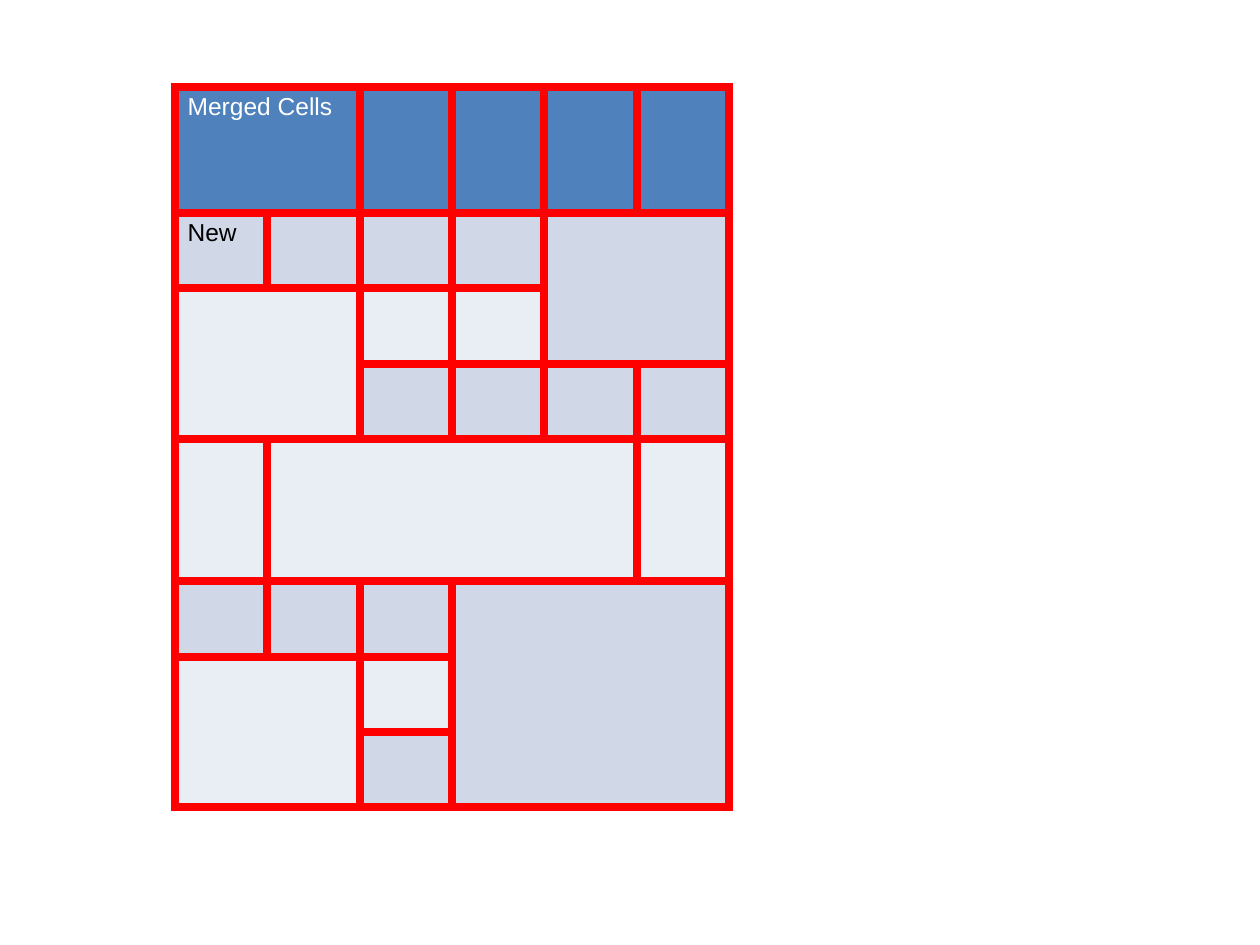
from dataclasses import dataclass
from itertools import pairwise

from lxml import etree
from pptx import Presentation
from pptx import util as u
from pptx.dml.color import RGBColor
from pptx.oxml import ns

PX = u.Inches(1) / 126


@dataclass(frozen=True)
class Theme:
    font: str = "Arial"
    size: int = 14
    header: str = "4F81BD"
    header_text: str = "FFFFFF"
    body_text: str = "000000"
    bands: tuple = ("E9EDF4", "D0D8E8")
    border: str = "FF0000"
    border_pt: int = 5


THEME = Theme()
SLIDE_SIZE = (1260, 945)
COLUMN_EDGES = [175, 267, 360, 452, 544, 637, 729]
ROW_EDGES = [87, 213, 288, 364, 439, 581, 657, 732, 807]
# first row, first column, last row, last column
MERGES = [
    (0, 0, 0, 1),
    (1, 4, 2, 5),
    (2, 0, 3, 1),
    (4, 1, 4, 4),
    (5, 3, 7, 5),
    (6, 0, 7, 1),
]


def px(length):
    return u.Emu(round(length * PX))


def write(frame, wording, *, color, size=THEME.size, font=THEME.font):
    run = frame.paragraphs[0].add_run()
    run.text = wording
    run.font.name = font
    run.font.size = u.Pt(size)
    run.font.color.rgb = RGBColor.from_string(color)


def add_borders(cell):
    properties = cell._tc.get_or_add_tcPr()
    for side in ("lnL", "lnR", "lnT", "lnB"):
        line = etree.SubElement(properties, ns.qn(f"a:{side}"),
                                w=str(u.Pt(THEME.border_pt)))
        fill = etree.SubElement(line, ns.qn("a:solidFill"))
        etree.SubElement(fill, ns.qn("a:srgbClr"), val=THEME.border)


def fill_cell(cell, color):
    cell.fill.solid()
    cell.fill.fore_color.rgb = RGBColor.from_string(color)


def add_grid(slide):
    left, right = COLUMN_EDGES[0], COLUMN_EDGES[-1]
    top, bottom = ROW_EDGES[0], ROW_EDGES[-1]
    grid = slide.shapes.add_table(
        len(ROW_EDGES) - 1, len(COLUMN_EDGES) - 1,
        px(left), px(top), px(right - left), px(bottom - top)).table
    for column, (start, end) in zip(grid.columns, pairwise(COLUMN_EDGES)):
        column.width = px(end - start)
    for row, (start, end) in zip(grid.rows, pairwise(ROW_EDGES)):
        row.height = px(end - start)
    for number, row in enumerate(grid.rows):
        color = THEME.bands[number % 2] if number else THEME.header
        for cell in row.cells:
            add_borders(cell)
            fill_cell(cell, color)
    for first_row, first_column, last_row, last_column in MERGES:
        grid.cell(first_row, first_column).merge(
            grid.cell(last_row, last_column))
    return grid


def main():
    deck = Presentation()
    deck.slide_width, deck.slide_height = map(px, SLIDE_SIZE)
    slide = deck.slides.add_slide(deck.slide_layouts.get_by_name("Blank"))
    grid = add_grid(slide)
    write(grid.cell(0, 0).text_frame, "Merged Cells", color=THEME.header_text)
    write(grid.cell(1, 0).text_frame, "New", color=THEME.body_text)
    deck.save("out.pptx")


if __name__ == "__main__":
    main()
